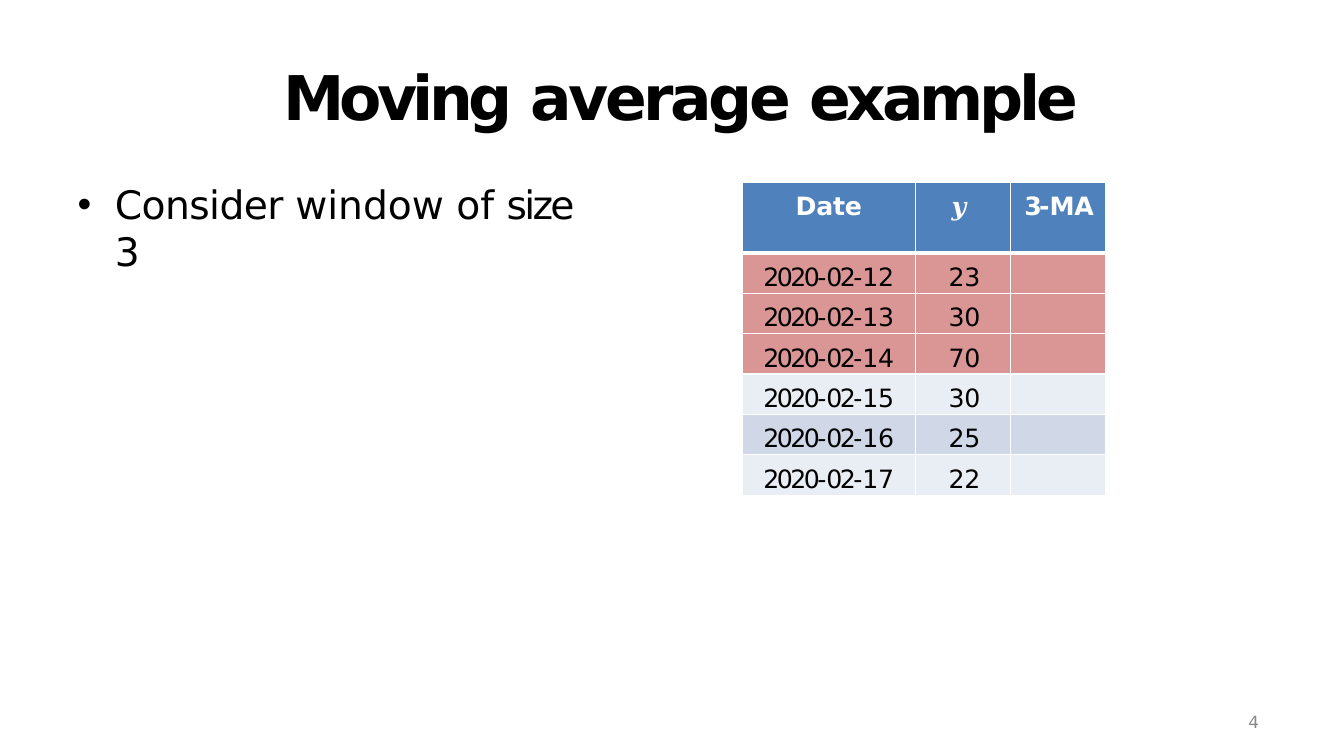
"""Build the moving average example slide with its bullet and data table."""
import pptx
import pptx.dml.color
import pptx.enum.text
import pptx.oxml
import pptx.oxml.ns
import pptx.util

PX = 9144
ALIGN = pptx.enum.text.PP_ALIGN


def rgb(value):
    return pptx.dml.color.RGBColor.from_string(value)


def write(frame, top, runs, size, color, bold=False, font="DejaVu Sans",
          align=ALIGN.LEFT, left=0, hanging=0):
    frame.margin_left = frame.margin_right = frame.margin_bottom = 0
    frame.margin_top = top * PX
    frame.vertical_anchor = pptx.enum.text.MSO_ANCHOR.TOP
    text_frame = getattr(frame, "text_frame", frame)
    text_frame.word_wrap = True
    paragraph = text_frame.paragraphs[0]
    properties = paragraph._p.get_or_add_pPr()
    properties.set("marL", str(left * PX))
    properties.set("indent", str(-hanging * PX))
    paragraph.alignment = align
    paragraph.space_before = pptx.util.Pt(0)
    paragraph.font.name = font
    paragraph.font.size = pptx.util.Pt(size)
    paragraph.font.bold = bold
    paragraph.font.color.rgb = rgb(color)
    for text, spacing in runs:
        run = paragraph.add_run()
        run.text = text
        run._r.get_or_add_rPr().set("spc", str(round(spacing * 100)))


deck = pptx.Presentation()
deck.slide_width = 1333 * PX
deck.slide_height = 750 * PX
slide = deck.slides.add_slide(deck.slide_layouts[1])

heading = slide.shapes.title
window_note = slide.placeholders[1]
page_number = slide.shapes.add_textbox(1234 * PX, 704 * PX, 28 * PX, 23 * PX)
for box, (left, top, width, height) in (
    (heading, (77, 56, 1179, 69)),
    (window_note, (75, 177, 523, 49)),
):
    box.left, box.top, box.width, box.height = left * PX, top * PX, width * PX, height * PX
    box.text_frame.auto_size = pptx.enum.text.MSO_AUTO_SIZE.NONE

write(heading.text_frame, 2, [("Moving", -3.4), (" average ", -2.5), ("example", -3)],
      44, "000000", bold=True, left=204)
write(window_note.text_frame, 2,
      [("Consider ", -0.4), ("window of ", 0), ("size ", -1.9), ("3", -0.5)],
      28, "000000", left=39, hanging=37)
write(page_number.text_frame, 2, [("4", -0.2)], 12, "898989", left=4)

observations = [(12, 23), (13, 30), (14, 70), (15, 30), (16, 25), (17, 22)]
row_fills = ["4F81BD"] + ["D99694"] * 3 + ["E9EDF4", "D0D8E8", "E9EDF4"]
averages = slide.shapes.add_table(
    len(row_fills), 3, 736 * PX, 181 * PX, 361 * PX, 310 * PX).table
for column, width in zip(averages.columns, (172, 94, 95)):
    column.width = width * PX

for row_index, fill in enumerate(row_fills):
    averages.rows[row_index].height = (40 if row_index else 70) * PX
    for cell in averages.rows[row_index].cells:
        widths = {"lnL": 1, "lnR": 1, "lnT": 3 if row_index == 1 else 1,
                  "lnB": 1 if row_index else 3}
        for side, points in widths.items():
            cell._tc.get_or_add_tcPr().append(pptx.oxml.parse_xml(
                f'<a:{side} {pptx.oxml.ns.nsdecls("a")} w="{points * 12700}">'
                '<a:solidFill><a:srgbClr val="FFFFFF"/></a:solidFill>'
                f'</a:{side}>'))
        cell.fill.solid()
        cell.fill.fore_color.rgb = rgb(fill)

header = averages.rows[0].cells
write(header[0], 10, [("Date", -0.2)], 18, "FFFFFF", bold=True, align=ALIGN.CENTER)
write(header[1], 10, [("𝒚", -0.5)], 18, "FFFFFF", font="Cambria", left=36)
write(header[2], 10, [("3-", -2), ("MA", -0.2)], 18, "FFFFFF", bold=True, left=14)

for row_index, (day, y) in enumerate(observations, start=1):
    date_cell, y_cell, average_cell = averages.rows[row_index].cells
    write(date_cell, 10, [("2020-", -1.8), ("02-", -1.9), (str(day), -0.2)],
          18, "000000", align=ALIGN.CENTER)
    write(y_cell, 10, [(str(y), -0.2)], 18, "000000", left=33)
    write(average_cell, 10, [], 18, "000000")

deck.save("out.pptx")
